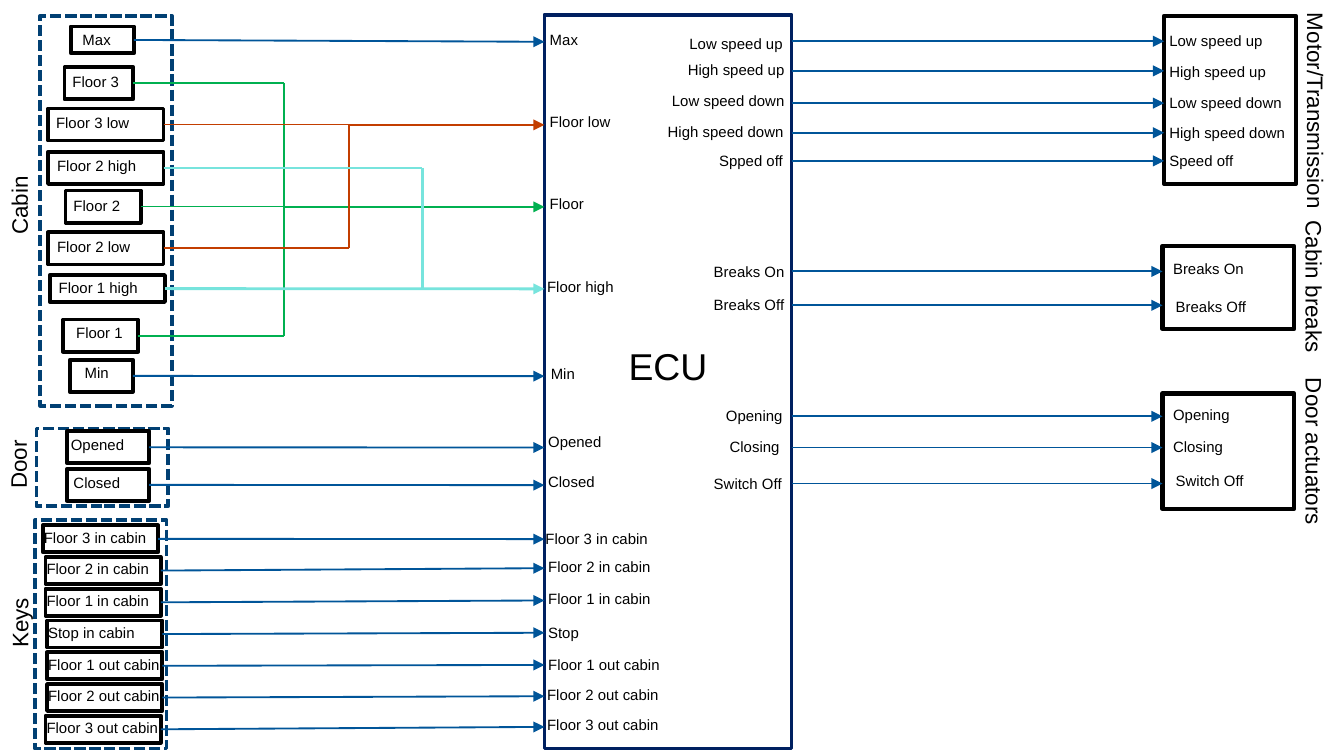
from collections import namedtuple
from dataclasses import dataclass

from pptx import Presentation
from pptx.dml.color import RGBColor
from pptx.enum.dml import MSO_LINE
from pptx.enum.shapes import MSO_CONNECTOR, MSO_SHAPE
from pptx.enum.text import MSO_ANCHOR, MSO_AUTO_SIZE, PP_ALIGN
from pptx.oxml.ns import qn
from pptx.util import Cm, Pt
from lxml.etree import SubElement


@dataclass(frozen=True)
class Theme:
    font: str = "Arial"
    text: str = "000000"
    box: str = "000000"
    controller: str = "002060"
    group: str = "014073"
    signal: str = "005599"
    floor: str = "00B050"
    floor_low: str = "C33E00"
    floor_high: str = "77E4DD"
    title_size: float = 20
    caption_size: float = 12
    label_size: float = 8


THEME = Theme()
RIGHT_SIDE = 3

# All lengths are centimetres; part positions are relative to their box.
Box = namedtuple("Box", "left top width height")
Sensor = namedtuple("Sensor", "label left top width height text_left text_top")
Port = namedtuple("Port", "label left top wire")
Output = namedtuple("Output", "source source_left source_top label left top wire")

CONTROLLER = Box(10.29, 0.28, 4.67, 13.87)
CABIN = Box(0.76, 0.3, 2.49, 7.37)
DOOR = Box(0.69, 8.1, 2.49, 1.47)
KEYS = Box(0.66, 9.83, 2.49, 4.32)
MOTOR = Box(22, 0.3, 2.49, 3.18)
BREAKS = Box(21.97, 4.65, 2.49, 1.57)
ACTUATORS = Box(21.97, 7.44, 2.49, 2.18)

CABIN_SENSORS = [
    Sensor("Max", 0.58, 0.2, 1.19, 0.51, -0.03, -0.05),
    Sensor("Floor 3", 0.46, 0.97, 1.3, 0.61, -0.1, -0.03),
    Sensor("Floor 3 low", 0.15, 1.75, 2.18, 0.61, -0.1, -0.03),
    Sensor("Floor 2 high", 0.15, 2.57, 2.18, 0.61, -0.08, -0.03),
    Sensor("Floor 2", 0.48, 3.3, 1.42, 0.61, -0.1, 0),
    Sensor("Floor 2 low", 0.15, 4.09, 2.18, 0.61, -0.08, -0.03),
    Sensor("Floor 1 high", 0.18, 4.9, 2.18, 0.51, -0.08, -0.05),
    Sensor("Floor 1", 0.43, 5.74, 1.42, 0.61, 0, -0.05),
    Sensor("Min", 0.56, 6.5, 1.19, 0.61, 0.03, -0.05),
]
DOOR_SENSORS = [
    Sensor("Opened", 0.58, 0.05, 1.55, 0.61, -0.18, -0.05),
    Sensor("Closed", 0.58, 0.76, 1.55, 0.61, -0.13, -0.03),
]
KEY_LABELS = [("Floor 3 in cabin", 0.15), ("Floor 2 in cabin", 0.2),
              ("Floor 1 in cabin", 0.2), ("Stop in cabin", 0.23),
              ("Floor 1 out cabin", 0.23), ("Floor 2 out cabin", 0.23),
              ("Floor 3 out cabin", 0.2)]
KEY_SENSORS = [Sensor(label, left, 0.1 + 0.6 * row, 2.18, 0.51, -0.23, -0.07)
               for row, (label, left) in enumerate(KEY_LABELS)]

INPUTS = [
    Port("Max", -0.15, 0.18, 0.51), Port("Floor low", -0.15, 1.73, 2.08),
    Port("Floor", -0.15, 3.28, 3.63), Port("Floor high", -0.2, 4.85, 5.18),
    Port("Min", -0.13, 6.48, 6.83), Port("Opened", -0.18, 7.77, 8.18),
    Port("Closed", -0.18, 8.53, 8.89),
    Port("Floor 3 in cabin", -0.23, 9.6, 9.91),
    Port("Floor 2 in cabin", -0.18, 10.13, 10.46),
    Port("Floor 1 in cabin", -0.18, 10.74, 11.07),
    Port("Stop", -0.18, 11.38, 11.68),
    Port("Floor 1 out cabin", -0.18, 11.99, 12.29),
    Port("Floor 2 out cabin", -0.2, 12.55, 12.88),
    Port("Floor 3 out cabin", -0.2, 13.13, 13.46),
]
MOTOR_OUTPUTS = [
    Output("Low speed up", 2.49, 0.25, "Low speed up", -0.15, 0.18, 0.48),
    Output("High speed up", 2.46, 0.74, "High speed up", -0.15, 0.76, 1.04),
    Output("Low speed down", 2.16, 1.32, "Low speed down", -0.15, 1.35, 1.65),
    Output("High speed down", 2.08, 1.91, "High speed down", -0.15, 1.91, 2.21),
    Output("Spped off", 3.05, 2.46, "Speed off", -0.15, 2.44, 2.74),
]
BREAK_OUTPUTS = [
    Output("Breaks On", 2.95, 4.55, "Breaks On", -0.05, 0.13, 0.48),
    Output("Breaks Off", 2.95, 5.18, "Breaks Off", 0, 0.86, 1.12),
]
ACTUATOR_OUTPUTS = [
    Output("Opening", 3.18, 7.29, "Opening", -0.05, 0.1, 0.43),
    Output("Closing", 3.25, 7.87, "Closing", -0.05, 0.71, 1.02),
    Output("Switch Off", 2.95, 8.56, "Switch Off", 0, 1.35, 1.7),
]


def write_text(shape, text, *, size, wrap=True, align=PP_ALIGN.LEFT):
    frame = shape.text_frame
    frame.text = text
    frame.word_wrap = wrap
    frame.auto_size = MSO_AUTO_SIZE.SHAPE_TO_FIT_TEXT
    frame.vertical_anchor = MSO_ANCHOR.TOP
    paragraph = frame.paragraphs[0]
    paragraph.alignment = align
    font = paragraph.runs[0].font
    font.name, font.size = THEME.font, Pt(size)
    font.color.rgb = RGBColor.from_string(THEME.text)


def add_label(slide, text, left, top):
    width = 1.22 if len(text) <= 3 else 2.82
    shape = slide.shapes.add_textbox(Cm(left), Cm(top), Cm(width), Cm(0.61))
    write_text(shape, text, size=THEME.label_size)


def add_caption(slide, text, center_x, center_y, length, rotation):
    height = 0.76
    shape = slide.shapes.add_textbox(Cm(center_x - length / 2), Cm(center_y - height / 2),
                                     Cm(length), Cm(height))
    shape.rotation = rotation
    write_text(shape, text, size=THEME.caption_size)
    shape.text_frame.margin_left = Cm(0.37)


def add_box(slide, box, color, weight=2, dashed=False):
    shape = slide.shapes.add_shape(MSO_SHAPE.RECTANGLE, *map(Cm, box))
    shape.shadow.inherit = False
    shape.fill.background()
    shape.line.color.rgb = RGBColor.from_string(color)
    shape.line.width = Pt(weight)
    if dashed:
        shape.line.dash_style = MSO_LINE.SQUARE_DOT
    return shape


def add_wire(slide, start, end, color=THEME.signal, weight=1, arrow=True):
    """Draw a wire from a point, or from the right side of a sensor, to a point."""
    from_sensor = not isinstance(start, tuple)
    begin = end if from_sensor else start
    wire = slide.shapes.add_connector(MSO_CONNECTOR.STRAIGHT, *map(Cm, begin + end))
    if from_sensor:
        wire.begin_connect(start, RIGHT_SIDE)
    wire.line.color.rgb = RGBColor.from_string(color)
    wire.line.width = Pt(weight)
    properties = wire._element.spPr
    if arrow:
        SubElement(properties.find(qn("a:ln")), qn("a:tailEnd"), type="triangle")
    SubElement(properties, qn("a:effectLst"))


def middle(shape):
    return (shape.top + shape.height / 2) / Cm(1)


def add_controller(slide, box):
    title = slide.shapes.title
    title.left, title.top = Cm(box.left + 1.32), Cm(box.top + 6.07)
    title.width, title.height = Cm(2.03), Cm(1.12)
    write_text(title, "ECU", size=THEME.title_size, wrap=False, align=PP_ALIGN.CENTER)
    add_box(slide, box, THEME.controller)
    for port in INPUTS:
        add_label(slide, port.label, box.left + port.left, box.top + port.top)


def add_sensor_group(slide, box, caption, caption_left, caption_top, length, sensors):
    add_box(slide, box, THEME.group, dashed=True)
    add_caption(slide, caption, box.left + caption_left, box.top + caption_top, length, 270)
    shapes = {}
    for sensor in sensors:
        left, top = box.left + sensor.left, box.top + sensor.top
        add_label(slide, sensor.label, left + sensor.text_left, top + sensor.text_top)
        shapes[sensor.label] = add_box(
            slide, Box(left, top, sensor.width, sensor.height), THEME.box)
    return shapes


def add_device(slide, box, caption, caption_top, length, outputs):
    add_box(slide, box, THEME.box, 2.25)
    add_caption(slide, caption, box.left + 2.87, box.top + caption_top, length, 90)
    for output in outputs:
        add_label(slide, output.source, CONTROLLER.left + output.source_left,
                  CONTROLLER.top + output.source_top)
        add_label(slide, output.label, box.left + output.left, box.top + output.top)
        level = box.top + output.wire
        add_wire(slide, (CONTROLLER.left + CONTROLLER.width, level), (box.left, level))


def add_bus(slide, sensors, x, target, color, weight=1, direct=None):
    """Join sensors on a vertical line; a direct sensor is wired straight through."""
    levels = [middle(sensor) for sensor in sensors]
    for sensor, level in zip(sensors, levels):
        if sensor is not direct:
            add_wire(slide, sensor, (x, level), color, weight, arrow=False)
    add_wire(slide, (x, min(levels)), (x, max(levels)), color, weight, arrow=False)
    add_wire(slide, direct or (x, target[1]), target, color, weight)


def add_input_wiring(slide, sensors):
    targets = {port.label: (CONTROLLER.left, CONTROLLER.top + port.wire) for port in INPUTS}
    targets["Stop in cabin"] = targets["Stop"]
    # Single signals
    for label in ["Max", "Min", "Opened", "Closed"] + [key for key, _ in KEY_LABELS]:
        add_wire(slide, sensors[label], targets[label])
    # Signals shared by several floors
    add_bus(slide, [sensors[f"Floor {n}"] for n in (3, 2, 1)], 5.36,
            targets["Floor"], THEME.floor)
    add_bus(slide, [sensors[f"Floor {n} low"] for n in (3, 2)], 6.6,
            targets["Floor low"], THEME.floor_low)
    add_bus(slide, [sensors[f"Floor {n} high"] for n in (2, 1)], 7.98,
            targets["Floor high"], THEME.floor_high, 1.5, sensors["Floor 1 high"])


def main():
    presentation = Presentation()
    presentation.slide_width, presentation.slide_height = Cm(25.4), Cm(14.29)
    slide = presentation.slides.add_slide(presentation.slide_layouts[5])
    add_controller(slide, CONTROLLER)
    # Inputs
    sensors = {
        **add_sensor_group(slide, CABIN, "Cabin", -0.4, 3.54, 1.93, CABIN_SENSORS),
        **add_sensor_group(slide, DOOR, "Door", -0.35, 0.61, 1.8, DOOR_SENSORS),
        **add_sensor_group(slide, KEYS, "Keys", -0.29, 1.88, 1.8, KEY_SENSORS),
    }
    add_input_wiring(slide, sensors)
    # Outputs
    add_device(slide, MOTOR, "Motor/Transmission", 1.91, 4.67, MOTOR_OUTPUTS)
    add_device(slide, BREAKS, "Cabin breaks", 0.91, 3.51, BREAK_OUTPUTS)
    add_device(slide, ACTUATORS, "Door actuators", 1.09, 3.51, ACTUATOR_OUTPUTS)
    presentation.save("out.pptx")


if __name__ == "__main__":
    main()
